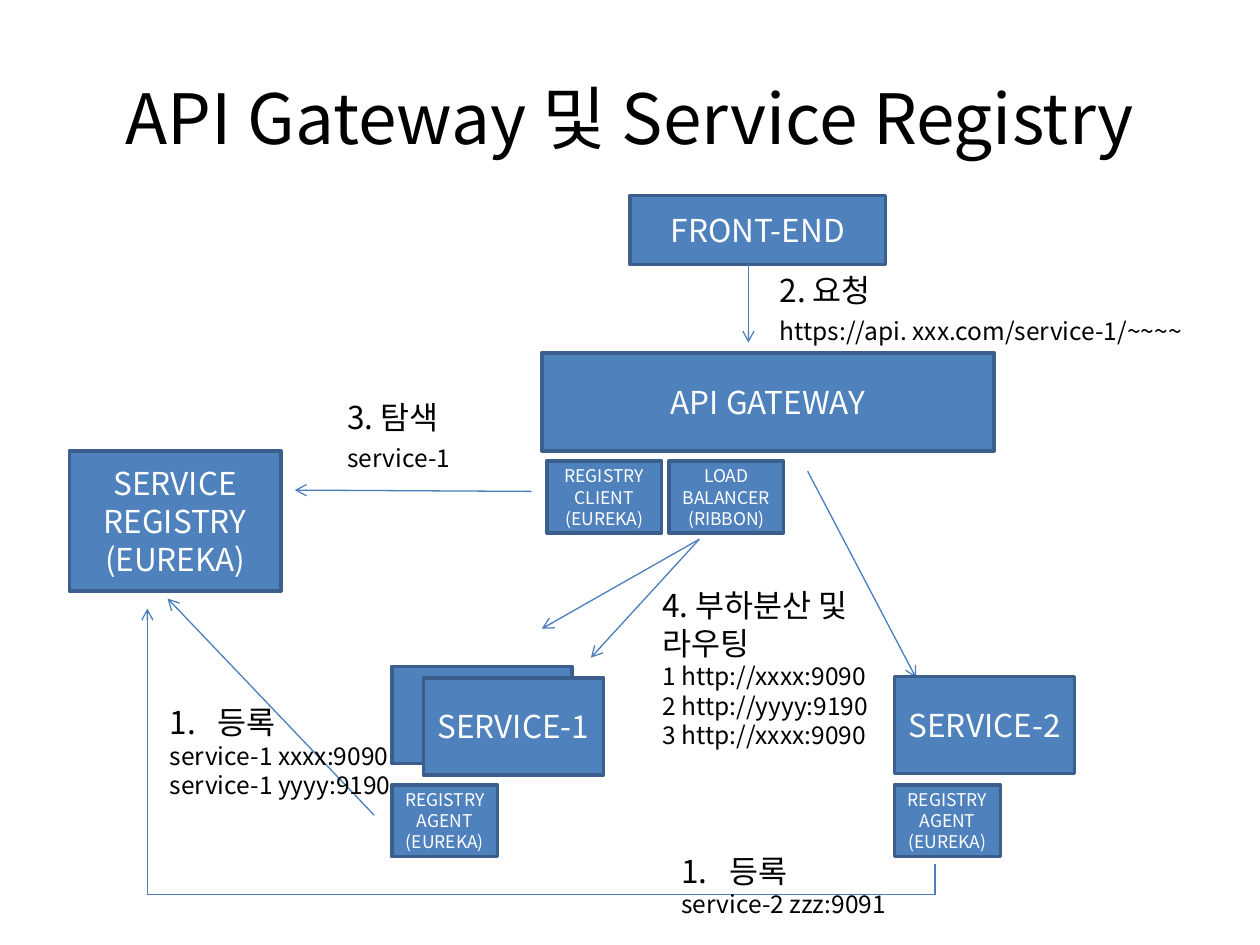
from dataclasses import dataclass

from lxml.etree import SubElement
from pptx import Presentation
from pptx.dml.color import RGBColor as RGB
from pptx.enum.shapes import MSO_CONNECTOR as CONN, MSO_SHAPE as SHAPE
from pptx.enum.text import MSO_ANCHOR as ANCHOR, PP_ALIGN as ALIGN
from pptx.oxml.ns import qn
from pptx.util import Inches, Pt


@dataclass(frozen=True)
class Theme:
    """Fonts, sizes and colours of the slide."""
    font: str = "Noto Sans CJK KR"
    title: float = 39.6
    head: float = 18
    detail: float = 14
    small: float = 10
    ink: RGB = RGB(0, 0, 0)
    paper: RGB = RGB(255, 255, 255)
    fill: RGB = RGB(0x4F, 0x81, 0xBD)
    edge: RGB = RGB(0x3A, 0x5F, 0x8C)
    arrow: RGB = RGB(0x4B, 0x7E, 0xBC)


class Diagram:
    """Draws styled elements on one slide."""

    def __init__(self, s, theme):
        """Keep the slide and its theme."""
        self.s, self.theme = s, theme

    def style(self, p, size, color, align):
        """Format a whole paragraph."""
        p.alignment = align
        p.font.name, p.font.size = self.theme.font, Pt(size)
        p.font.color.rgb = color
        props = p._p.get_or_add_pPr().find(qn("a:defRPr"))
        SubElement(props, qn("a:ea")).set("typeface", self.theme.font)

    def set_lines(self, tf, lines, color, align=ALIGN.LEFT):
        """Fill a frame with (text, size) lines and return its paragraphs."""
        tf.word_wrap = True
        tf.text = "\n".join(text for text, _ in lines)
        for p, (_, size) in zip(tf.paragraphs, lines):
            self.style(p, size, color, align)
        return tf.paragraphs

    def title(self, text):
        """Place the slide title."""
        sp = self.s.shapes.title
        sp.left, sp.top, sp.width, sp.height = map(Inches, (0.5, 0.3, 9, 1.25))
        sp.text_frame.vertical_anchor = ANCHOR.MIDDLE
        self.set_lines(sp.text_frame, [(text, self.theme.title)], self.theme.ink, ALIGN.CENTER)

    def box(self, at, *lines, size=None):
        """Draw a component box with centred lines."""
        sp = self.s.shapes.add_shape(SHAPE.RECTANGLE, *map(Inches, at))
        sp.shadow.inherit = False
        sp.fill.solid()
        sp.fill.fore_color.rgb = self.theme.fill
        sp.line.color.rgb, sp.line.width = self.theme.edge, Pt(2)
        sp.text_frame.vertical_anchor = ANCHOR.MIDDLE
        sized = [(text, size or self.theme.head) for text in lines]
        if sized:
            self.set_lines(sp.text_frame, sized, self.theme.paper, ALIGN.CENTER)

    def note(self, at, heads, details, gap=0, numbered=False):
        """Add a step with its headings and details."""
        tf = self.s.shapes.add_textbox(*map(Inches, at)).text_frame
        lines = [(text, self.theme.head) for text in heads]
        lines += [(text, self.theme.detail) for text in details]
        paragraphs = self.set_lines(tf, lines, self.theme.ink)
        if gap:
            paragraphs[len(heads)].space_before = Pt(gap)
        if numbered:
            indent = Inches(0.38)
            for p in paragraphs:
                pPr = p._p.get_or_add_pPr()
                pPr.set("marL", str(indent))
                pPr.set("indent", str(-indent))
            first = paragraphs[0]._p.get_or_add_pPr()
            bullet = first.makeelement(qn("a:buAutoNum"), {"type": "arabicPeriod"})
            first.find(qn("a:defRPr")).addprevious(bullet)

    def line(self, start, end, arrow=True):
        """Draw a thin line, with an arrowhead at its end by default."""
        c = self.s.shapes.add_connector(CONN.STRAIGHT, *map(Inches, (*start, *end)))
        c.line.color.rgb, c.line.width = self.theme.arrow, Pt(0.75)
        if arrow:
            SubElement(c.line._get_or_add_ln(), qn("a:tailEnd")).set("type", "arrow")
        SubElement(c._element.spPr, qn("a:effectLst"))


def main():
    """Build and save the slide."""
    prs = Presentation()
    prs.slide_width, prs.slide_height = Inches(10), Inches(7.5)
    theme = Theme()
    d = Diagram(prs.slides.add_slide(prs.slide_layouts[5]), theme)
    d.title("API Gateway 및 Service Registry")

    d.box((4.3, 2.8, 3.59, 0.78), "API GATEWAY")
    d.box((0.55, 3.58, 1.68, 1.11), "SERVICE REGISTRY", "(EUREKA)")
    d.box((5, 1.55, 2.03, 0.55), "FRONT-END")
    for left, name, product in ((4.34, "REGISTRY CLIENT", "(EUREKA)"),
                                (5.31, "LOAD BALANCER", "(RIBBON)")):
        d.box((left, 3.66, 0.91, 0.57), name, product, size=theme.small)

    registry_corner, agent_corner = (1.17, 7.1), (7.42, 7.1)
    balancer = (5.55, 4.28)
    d.line((4.22, 3.9), (2.34, 3.89))
    d.line((2.97, 6.47), (1.33, 4.75))
    for target in ((4.69, 5.22), (4.3, 4.99)):
        d.line(balancer, target)
    d.line((6.41, 3.74), (7.27, 5.38))
    d.line((5.94, 2.1), (5.94, 2.72))
    d.line(registry_corner, (1.17, 4.83))
    d.line(registry_corner, agent_corner, arrow=False)
    d.line((7.42, 6.86), agent_corner, arrow=False)

    d.box((3.11, 5.29, 1.43, 0.77))
    d.box((3.36, 5.38, 1.43, 0.77), "SERVICE-1")
    d.box((7.1, 5.37, 1.43, 0.77), "SERVICE-2")
    for left in (3.11, 7.1):
        d.box((left, 6.23, 0.84, 0.57), "REGISTRY AGENT", "(EUREKA)", size=theme.small)

    d.note((2.66, 3.11, 1.33, 0.71), ["3. 탐색"], ["service-1"], gap=4)
    d.note((6.09, 2.1, 3.67, 0.71), ["2. 요청"],
           ["https://api. xxx.com/service-1/~~~~"], gap=4)
    d.note((5.16, 4.6, 1.88, 1.41), ["4. 부하분산 및", "라우팅"],
           ["1 http://xxxx:9090", "2 http://yyyy:9190", "3 http://xxxx:9090"])
    d.note((5.31, 6.71, 2.11, 0.64), ["등록"], ["service-2 zzz:9091"], numbered=True)
    d.note((1.25, 5.53, 2.11, 0.88), ["등록"],
           ["service-1 xxxx:9090", "service-1 yyyy:9190"], numbered=True)
    prs.save("out.pptx")


if __name__ == "__main__":
    main()
